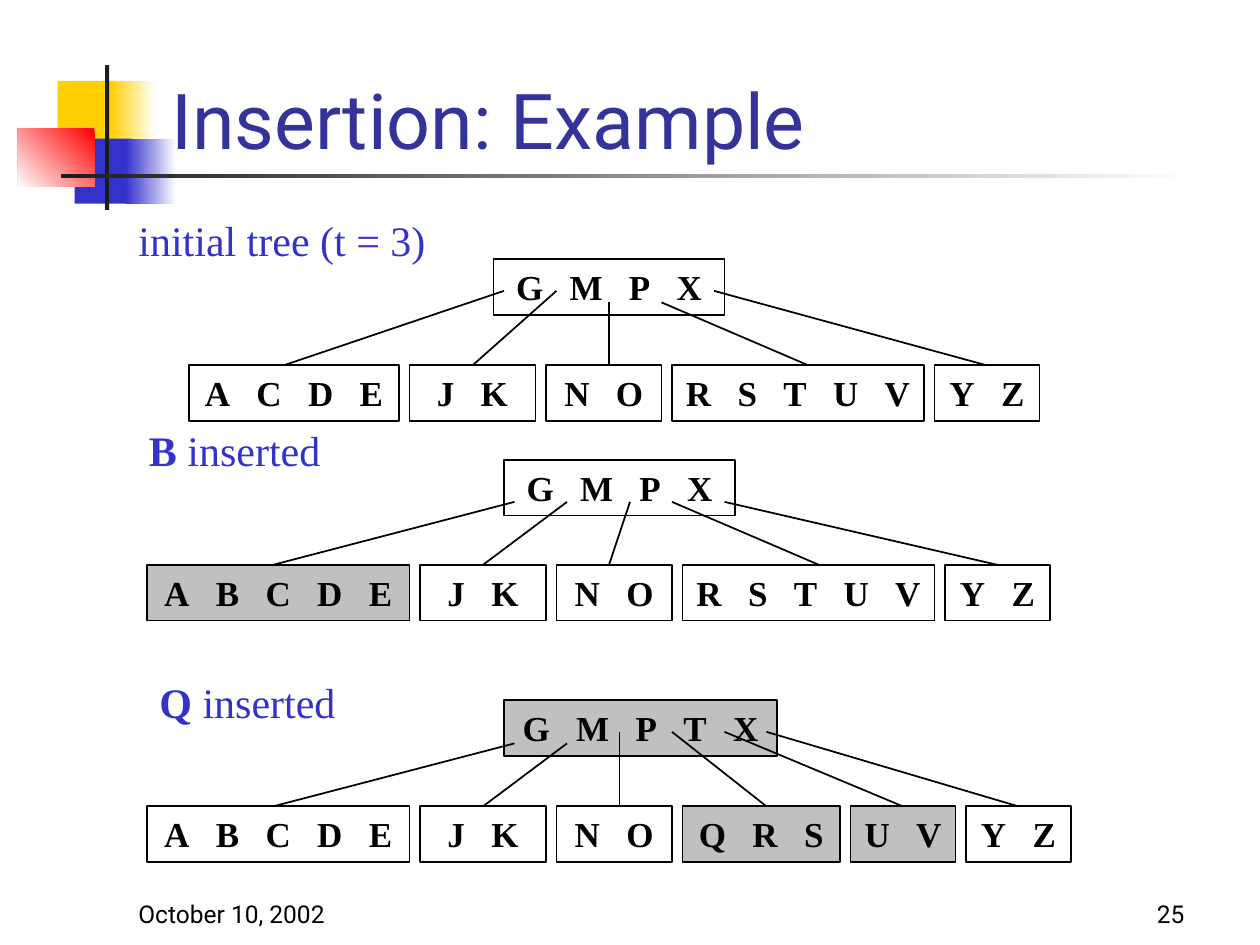
"""Build a slide showing successive insertions into a B-tree."""
import pptx
import pptx.dml.color
import pptx.enum.dml
import pptx.enum.shapes
import pptx.enum.text
import pptx.oxml
import pptx.util

PX = 7620
LEAF_GAP = 10
NODE_HEIGHT = 53
COLORS = {
    "white": "FFFFFF", "black": "000000", "dark": "1C1C1C", "yellow": "FFCF01",
    "blue": "3333CC", "red": "FF0000", "title": "333399", "changed": "C0C0C0",
}
SERIF, SANS = "Times New Roman", "Roboto"
ALIGN = pptx.enum.text.PP_ALIGN
ANCHOR = pptx.enum.text.MSO_ANCHOR

TITLE = "Insertion: Example"
FOOTERS = [("October 10, 2002", 120, ALIGN.LEFT), ("25", 890, ALIGN.RIGHT)]
ORNAMENTS = [
    ((55, 77, 58, 62), ["yellow"], 0),
    ((105, 77, 43, 62), ["white", "yellow"], 180),
    ((71, 132, 55, 62), ["blue"], 0),
    ((120, 132, 48, 62), ["white", "blue"], 180),
    ((17, 122, 73, 56), ["red", "white"], 225),
    ((100, 62, 4, 138), ["dark"], 0),
    ((58, 166, 1080, 4), ["white", "dark"], 180),
]
TREES = [
    {
        "label": [("initial tree (t = 3)", False)], "label_box": (120, 198, 325, 60),
        "root": ("GMPX", 470, 247, 220), "leaf_left": 180, "leaf_top": 348,
        "leaves": [("ACDE", 200), ("JK", 120), ("NO", 110), ("RSTUV", 240), ("YZ", 100)],
        "changed": [],
        "links": [(480, 277, 270), (530, 277, 450), (580, 288, 580),
                  (630, 288, 770), (680, 277, 940)],
    },
    {
        "label": [("B", True), (" inserted", False)], "label_box": (130, 398, 200, 60),
        "root": ("GMPX", 480, 438, 220), "leaf_left": 140, "leaf_top": 538,
        "leaves": [("ABCDE", 250), ("JK", 120), ("NO", 110), ("RSTUV", 240), ("YZ", 100)],
        "changed": ["ABCDE"],
        "links": [(490, 478, 260), (540, 478, 460), (600, 478, 580),
                  (640, 478, 780), (690, 478, 950)],
    },
    {
        "label": [("Q", True), (" inserted", False)], "label_box": (140, 638, 200, 60),
        "root": ("GMPTX", 480, 667, 260), "leaf_left": 140, "leaf_top": 768,
        "leaves": [("ABCDE", 250), ("JK", 120), ("NO", 110), ("QRS", 150),
                   ("UV", 100), ("YZ", 100)],
        "changed": ["GMPTX", "QRS", "UV"],
        "links": [(490, 708, 260), (540, 708, 460), (590, 697, 590),
                  (640, 697, 730), (690, 697, 860), (730, 697, 970)],
    },
]


def rgb(name):
    return pptx.dml.color.RGBColor.from_string(COLORS[name])


def scaled(*lengths):
    return [length * PX for length in lengths]


def write_text(shape, runs, size, font, color, align=ALIGN.LEFT, anchor=ANCHOR.TOP,
               space_tracking=0):
    frame = shape.text_frame
    frame.word_wrap = True
    frame.auto_size = pptx.enum.text.MSO_AUTO_SIZE.NONE
    frame.vertical_anchor = anchor
    paragraph = frame.paragraphs[0]
    paragraph.alignment = align
    for text, bold in runs:
        run = paragraph.add_run()
        run.text = text
        run.font.size = pptx.util.Pt(size)
        run.font.name = font
        run.font.bold = bold
        run.font.color.rgb = rgb(color)
        if text == " " and space_tracking:
            run.font._element.set("spc", str(space_tracking * 100))


def add_rectangle(slide, box, colors=(), angle=0):
    shape = slide.shapes.add_shape(pptx.enum.shapes.MSO_SHAPE.RECTANGLE, *scaled(*box))
    shape.shadow.inherit = False
    shape.line.fill.background()
    if len(colors) == 2:
        shape.fill.gradient()
        shape.fill.gradient_angle = angle
        for stop, color in zip(shape.fill.gradient_stops, colors):
            stop.color.rgb = rgb(color)
    elif colors:
        shape.fill.solid()
        shape.fill.fore_color.rgb = rgb(colors[0])
    else:
        shape.fill.background()
    return shape


def add_node(slide, keys, left, top, width, changed):
    colors = ["changed"] if changed else []
    node = add_rectangle(slide, (left, top, width, NODE_HEIGHT), colors)
    node.line.color.rgb = rgb("black")
    node.line.width = pptx.util.Pt(1)
    runs = [(character, True) for character in " ".join(keys)]
    write_text(node, runs, 20, SERIF, "black", align=ALIGN.CENTER, space_tracking=10)


def add_link(slide, start_x, start_y, end_x, end_y):
    line = slide.shapes.add_connector(
        pptx.enum.shapes.MSO_CONNECTOR.STRAIGHT, *scaled(start_x, start_y, end_x, end_y))
    line.line.color.rgb = rgb("black")
    line.line.width = pptx.util.Pt(1)
    properties = line._element.spPr
    properties.append(pptx.oxml.parse_xml(
        '<a:effectLst xmlns:a="http://schemas.openxmlformats.org/drawingml/2006/main"/>'))


def add_tree(slide, tree):
    keys, left, top, width = tree["root"]
    add_node(slide, keys, left, top, width, keys in tree["changed"])
    left = tree["leaf_left"]
    for keys, width in tree["leaves"]:
        add_node(slide, keys, left, tree["leaf_top"], width, keys in tree["changed"])
        left += width + LEAF_GAP
    label = slide.shapes.add_textbox(*scaled(*tree["label_box"]))
    write_text(label, tree["label"], 24, SERIF, "blue")
    for start_x, start_y, end_x in tree["links"]:
        add_link(slide, start_x, start_y, end_x, tree["leaf_top"])


def main():
    presentation = pptx.Presentation()
    presentation.slide_width, presentation.slide_height = scaled(1200, 900)
    slide = presentation.slides.add_slide(presentation.slide_layouts[5])
    title = slide.shapes.title
    for box, colors, angle in ORNAMENTS:
        add_rectangle(slide, box, colors, angle)
    slide.shapes._spTree.append(title._element)
    title.left, title.top, title.width, title.height = scaled(151, 13, 1022, 150)
    write_text(title, [(TITLE, False)], 44, SANS, "title", anchor=ANCHOR.BOTTOM)
    for tree in TREES:
        add_tree(slide, tree)
    for text, left, align in FOOTERS:
        footer = slide.shapes.add_textbox(*scaled(left, 830, 250, 60))
        write_text(footer, [(text, False)], 14, SANS, "black", align, ANCHOR.BOTTOM)
    presentation.save("out.pptx")


if __name__ == "__main__":
    main()
